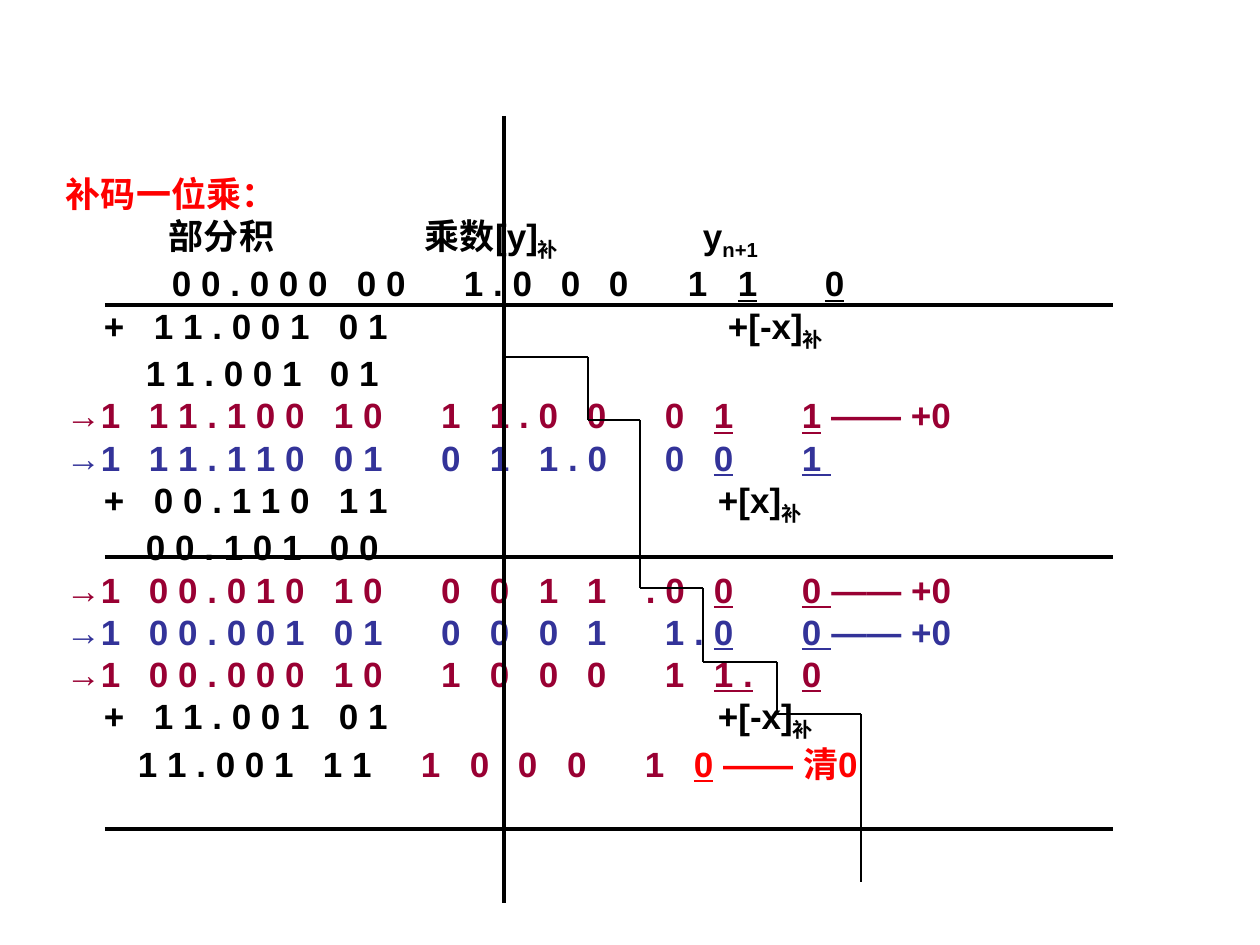
from dataclasses import dataclass
from itertools import pairwise

from lxml import etree
from pptx import Presentation
from pptx.dml.color import RGBColor
from pptx.enum.shapes import MSO_CONNECTOR
from pptx.enum.text import MSO_ANCHOR, MSO_AUTO_SIZE, PP_ALIGN
from pptx.oxml.ns import qn
from pptx.util import Emu, Pt

STRAIGHT = MSO_CONNECTOR.STRAIGHT
LEFT = PP_ALIGN.LEFT
MIDDLE = MSO_ANCHOR.MIDDLE
NO_FIT = MSO_AUTO_SIZE.NONE
PX_PER_INCH = 126


@dataclass(frozen=True)
class Theme:
    font: str = "Arial"
    size: int = 20
    thick: float = 2.25
    thin: float = 0.75
    black: str = "000000"
    red: str = "FF0000"
    wine: str = "990033"
    blue: str = "333399"


THEME = Theme()
BLACK, RED, WINE, BLUE = THEME.black, THEME.red, THEME.wine, THEME.blue

BOX = (53, 32, 1166, 892)
TEXT_INSET = 13
LINE_HEIGHT, SUBSCRIPT_LINE_HEIGHT = 42, 48
UNDERLINED = {"underline": True}
SUBSCRIPT = {"subscript": True}

# Columns of a shifted row: high sum, low sum, multiplier digits
SUM = (149, 334)
DIGITS = (441, 490, 539, 587)
LAST_DIGIT = 665
FLAGS = (714, 802)
ADDEND = (104, 154, 339)
TOTAL = (146, 330)

# Each row: tab stops, colour, spans (text, format)
ROWS = [
    ((), RED, [("补码一位乘：", {})]),
    ((169, 425, 703), BLACK, [
        ("\t部分积\t乘数[y]", {}), ("补", SUBSCRIPT), ("\ty", {}), ("n+1", SUBSCRIPT)]),
    ((172, 357, 464, 561, 609, 688, 738, 825), BLACK, [
        ("\t0 0 . 0 0 0\t0 0\t1 . 0\t0\t0\t1\t", {}), ("1\t0", UNDERLINED)]),
    ((*ADDEND, 728), BLACK, [
        ("\t+\t1 1 . 0 0 1\t0 1\t+[-x]", {}), ("补", SUBSCRIPT)]),
    (TOTAL, BLACK, [("\t1 1 . 0 0 1\t0 1", {})]),
    ((*SUM, 441, 490, 587, LAST_DIGIT, *FLAGS), WINE, [
        ("→1\t1 1 . 1 0 0\t1 0\t1\t1 . 0\t0\t0\t", {}),
        ("1\t1", UNDERLINED), (" —— +0", {})]),
    ((*SUM, 441, 490, 539, LAST_DIGIT, *FLAGS), BLUE, [
        ("→1\t1 1 . 1 1 0\t0 1\t0\t1\t1 . 0\t0\t", {}), ("0\t1 ", UNDERLINED)]),
    ((*ADDEND, 718), BLACK, [
        ("\t+\t0 0 . 1 1 0\t1 1\t+[x]", {}), ("补", SUBSCRIPT)]),
    (TOTAL, BLACK, [("\t0 0 . 1 0 1\t0 0", {})]),
    ((*SUM, *DIGITS, 646, *FLAGS), WINE, [
        ("→1\t0 0 . 0 1 0\t1 0\t0\t0\t1\t1\t. 0\t", {}),
        ("0\t0 ", UNDERLINED), ("—— +0", {})]),
    ((*SUM, *DIGITS, LAST_DIGIT, *FLAGS), BLUE, [
        ("→1\t0 0 . 0 0 1\t0 1\t0\t0\t0\t1\t1 .\t", {}),
        ("0\t0 ", UNDERLINED), ("—— +0", {})]),
    ((*SUM, *DIGITS, LAST_DIGIT, *FLAGS), WINE, [
        ("→1\t0 0 . 0 0 0\t1 0\t1\t0\t0\t0\t1\t", {}), ("1 .\t0", UNDERLINED)]),
    ((*ADDEND, 718), BLACK, [
        ("\t+\t1 1 . 0 0 1\t0 1\t+[-x]", {}), ("补", SUBSCRIPT)]),
    ((138, 323, 421, 470, 518, 567, 645, 694), BLACK, [
        ("\t1 1 . 0 0 1\t1 1", {}), ("\t1\t0\t0\t0\t1\t", {"color": WINE}),
        ("0", {"color": RED, "underline": True}), (" —— 清0", {"color": RED})]),
]

RULE_LEFT, RULE_RIGHT = 105, 1113
RULE_TOPS = (305, 557, 829)
DIVIDER = ((504, 116), (504, 903))
STAIRCASE = [
    (504, 357), (588, 357), (588, 420), (640, 420), (640, 588), (703, 588),
    (703, 662), (777, 662), (777, 714), (861, 714), (861, 882)]


def px(value):
    return Emu(round(value * 914400 / PX_PER_INCH))


def add_span(para, text, color, underline=False, subscript=False):
    span = para.add_run()
    span.text = text
    font = span.font
    font.name, font.size, font.bold = THEME.font, Pt(THEME.size), True
    font.underline = underline
    font.color.rgb = RGBColor.from_string(color)
    if subscript:
        span._r.get_or_add_rPr().set("baseline", "-25000")


def set_tab_stops(para, stops):
    """Place left tab stops, given as px from the slide's left edge."""
    tabs = etree.SubElement(para._p.get_or_add_pPr(), qn("a:tabLst"))
    for stop in stops:
        offset = px(stop - BOX[0] - TEXT_INSET)
        etree.SubElement(tabs, qn("a:tab"), pos=str(offset), algn="l")


def fill_rows(frame):
    for index, (stops, color, spans) in enumerate(ROWS):
        para = frame.add_paragraph() if index else frame.paragraphs[0]
        para.alignment = LEFT
        has_subscript = any("subscript" in style for _, style in spans)
        para.line_spacing = px(SUBSCRIPT_LINE_HEIGHT if has_subscript else LINE_HEIGHT)
        if stops:
            set_tab_stops(para, stops)
        for text, style in spans:
            add_span(para, text, **{"color": color, **style})


def add_line(page, start, end, width):
    line = page.shapes.add_connector(STRAIGHT, *map(px, (*start, *end)))
    line.line.color.rgb = RGBColor.from_string(BLACK)
    line.line.width = Pt(width)
    etree.SubElement(line._element.spPr, qn("a:effectLst"))


def main():
    deck = Presentation()
    deck.slide_width, deck.slide_height = px(1260), px(945)
    page = deck.slides.add_slide(deck.slide_layouts[5])

    title = page.shapes.title
    title.left, title.top, title.width, title.height = map(px, BOX)
    frame = title.text_frame
    frame.auto_size = NO_FIT
    frame.word_wrap = True
    frame.vertical_anchor = MIDDLE
    frame.margin_left = px(TEXT_INSET)
    fill_rows(frame)

    for top in RULE_TOPS:
        add_line(page, (RULE_LEFT, top), (RULE_RIGHT, top), THEME.thick)
    add_line(page, *DIVIDER, THEME.thick)
    for start, end in pairwise(STAIRCASE):
        add_line(page, start, end, THEME.thin)

    deck.save("out.pptx")


if __name__ == "__main__":
    main()
